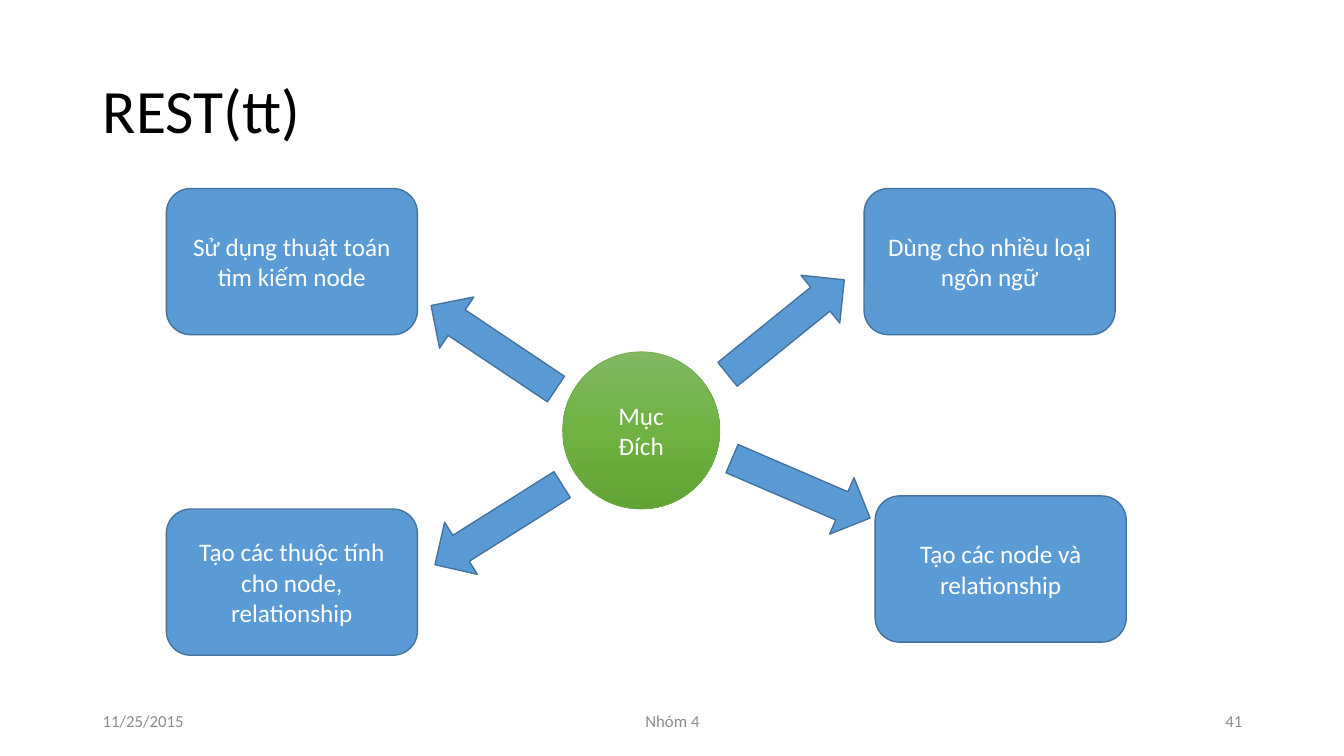
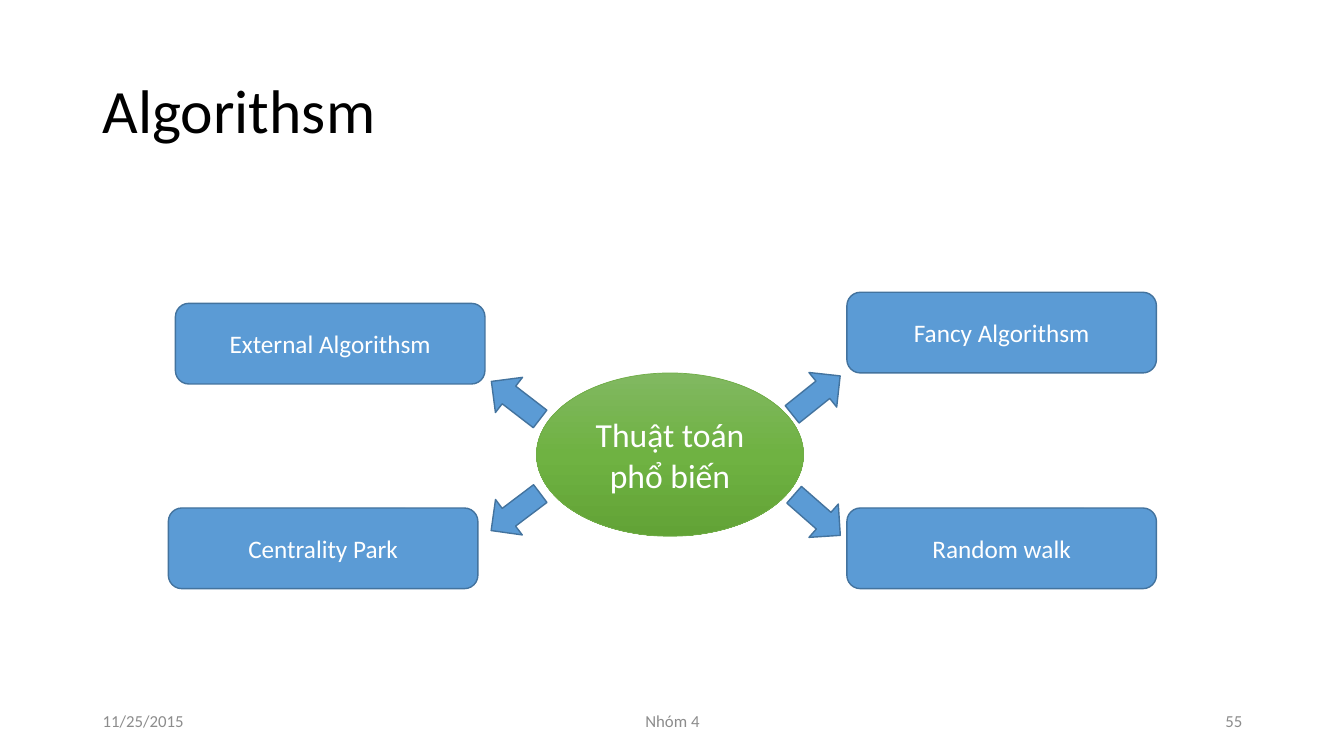
"""Build two hub-and-spoke diagram slides."""
from lxml import etree
from pptx import Presentation
from pptx.dml.color import RGBColor
from pptx.enum.shapes import MSO_SHAPE
from pptx.enum.text import MSO_ANCHOR, PP_ALIGN
from pptx.oxml.ns import qn
from pptx.util import Inches, Pt

ELLIPSE = MSO_SHAPE.OVAL
ARROW = MSO_SHAPE.RIGHT_ARROW
ALTERNATE = MSO_SHAPE.FLOWCHART_ALTERNATE_PROCESS
ROUNDED = MSO_SHAPE.ROUNDED_RECTANGLE
LEFT, CENTER, RIGHT = PP_ALIGN.LEFT, PP_ALIGN.CENTER, PP_ALIGN.RIGHT
MIDDLE = MSO_ANCHOR.MIDDLE

FONT = "Calibri"
BLACK = RGBColor(0x00, 0x00, 0x00)
WHITE = RGBColor(0xFF, 0xFF, 0xFF)
GRAY = RGBColor(0x8C, 0x8C, 0x8C)
BLUE = RGBColor(0x5B, 0x9B, 0xD5)
BLUE_LINE = RGBColor(0x43, 0x73, 0x9E)
GREEN_LINE = RGBColor(0x70, 0xAD, 0x47)
GREEN_STOPS = (
    (0, RGBColor(0x81, 0xB8, 0x61)),
    (50, RGBColor(0x6F, 0xB2, 0x42)),
    (100, RGBColor(0x62, 0xA3, 0x36)),
)


def write(sp, text, size=18, color=WHITE, align=CENTER, spacing=1.0):
    tf = sp.text_frame
    tf.word_wrap = True
    tf.vertical_anchor = MIDDLE
    p = tf.paragraphs[0]
    p.alignment = align
    p.line_spacing = spacing
    r = p.add_run()
    r.text = text
    r.font.name = FONT
    r.font.size = Pt(size)
    r.font.color.rgb = color


def add_text(s, box, text, **style):
    write(s.shapes.add_textbox(*map(Inches, box)), text, **style)


def add_shape(s, kind, box, line=BLUE_LINE, weight=1):
    sp = s.shapes.add_shape(kind, *map(Inches, box))
    sp.shadow.inherit = False
    sp.fill.solid()
    sp.fill.fore_color.rgb = BLUE
    sp.line.color.rgb = line
    sp.line.width = Pt(weight)
    return sp


def add_hub(s, box, text, size):
    sp = add_shape(s, ELLIPSE, box, GREEN_LINE, 0.5)
    sp.fill.gradient()
    sp.fill.gradient_angle = 270
    stops = sp._element.spPr.find(qn("a:gradFill")).find(qn("a:gsLst"))
    for stop in list(stops):
        stops.remove(stop)
    for position, color in GREEN_STOPS:
        stop = etree.SubElement(stops, qn("a:gs"), pos=str(position * 1000))
        etree.SubElement(stop, qn("a:srgbClr"), val=str(color))
    write(sp, text, size)


def add_nodes(s, kind, size, nodes):
    for left, top, text in nodes:
        write(add_shape(s, kind, (left, top, *size)), text)


def add_arrows(s, size, arrows):
    for left, top, angle in arrows:
        add_shape(s, ARROW, (left, top, *size)).rotation = angle


def add_slide(prs, title, number):
    s = prs.slides.add_slide(prs.slide_layouts[6])
    add_text(s, (0.92, 0.4, 11.5, 1.45), title,
             size=44, color=BLACK, align=LEFT, spacing=0.9)
    for left, width, text, align in (
        (0.92, 3, "11/25/2015", LEFT),
        (4.42, 4.5, "Nhóm 4", CENTER),
        (9.42, 3, number, RIGHT),
    ):
        add_text(s, (left, 6.95, width, 0.4), text,
                 size=12, color=GRAY, align=align)
    return s


def add_rest_slide(prs):
    s = add_slide(prs, "REST(tt)", "41")
    add_hub(s, (5.58, 3.49, 1.56, 1.56), "Mục Đích", 18)
    add_nodes(s, ALTERNATE, (2.49, 1.45), (
        (8.57, 1.87, "Dùng cho nhiều loại ngôn ngữ"),
        (8.68, 4.92, "Tạo các node và relationship"),
        (1.65, 5.05, "Tạo các thuộc tính cho node, relationship"),
        (1.65, 1.87, "Sử dụng thuật toán tìm kiếm node"),
    ))
    add_arrows(s, (1.49, 0.61), (
        (7.05, 2.94, 321),
        (7.2, 4.54, 23.3),
        (4.2, 4.9, 147.8),
        (4.15, 3.14, 213.8),
    ))


def add_algorithm_slide(prs):
    s = add_slide(prs, "Algorithsm", "55")
    add_hub(s, (5.32, 3.7, 2.65, 1.62), "Thuật toán phổ biến", 24)
    add_nodes(s, ROUNDED, (3.07, 0.8), (
        (8.4, 2.9, "Fancy Algorithsm"),
        (8.4, 5.04, "Random walk"),
        (1.67, 5.04, "Centrality Park"),
        (1.74, 3.01, "External Algorithsm"),
    ))
    add_arrows(s, (0.61, 0.44), (
        (7.79, 3.7, 321.3),
        (7.8, 4.89, 41.3),
        (4.81, 4.86, 143),
        (4.81, 3.75, 217.6),
    ))


def main():
    prs = Presentation()
    prs.slide_width = Inches(13.33)
    prs.slide_height = Inches(7.5)
    add_rest_slide(prs)
    add_algorithm_slide(prs)
    prs.save("out.pptx")


if __name__ == "__main__":
    main()
